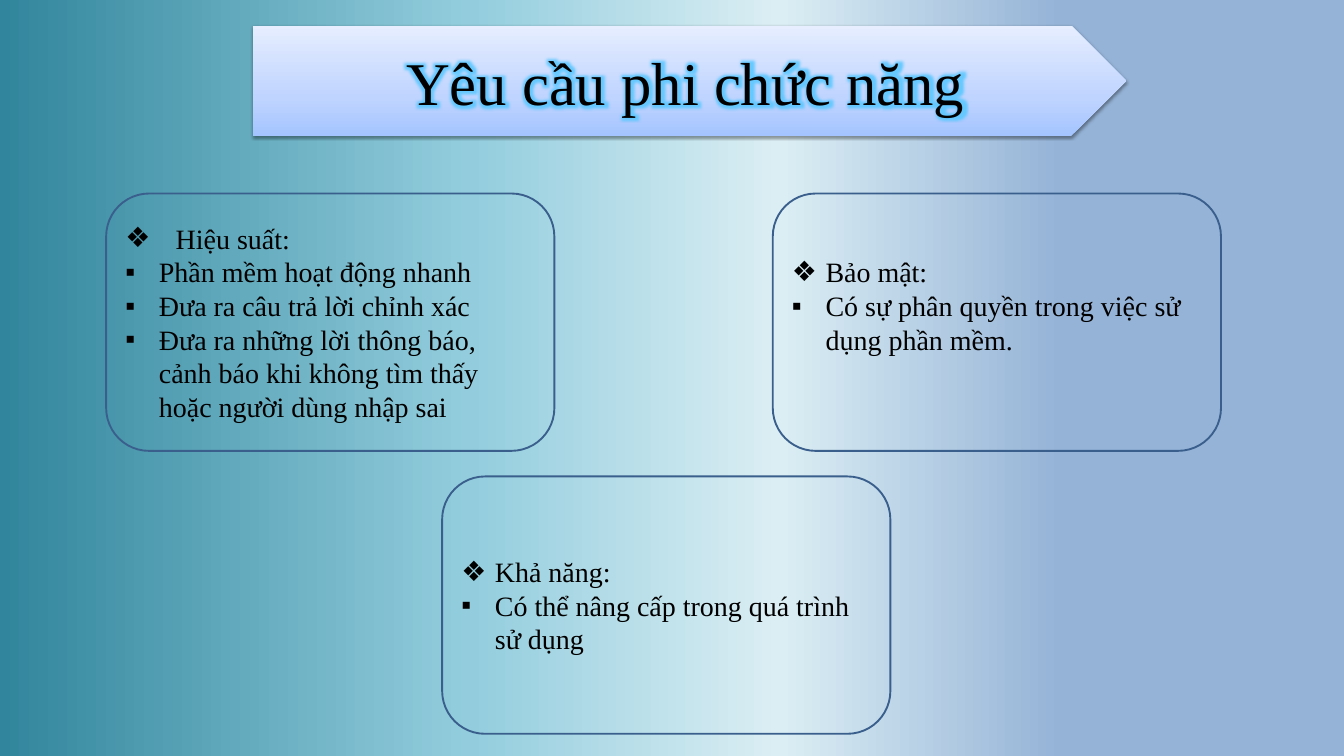
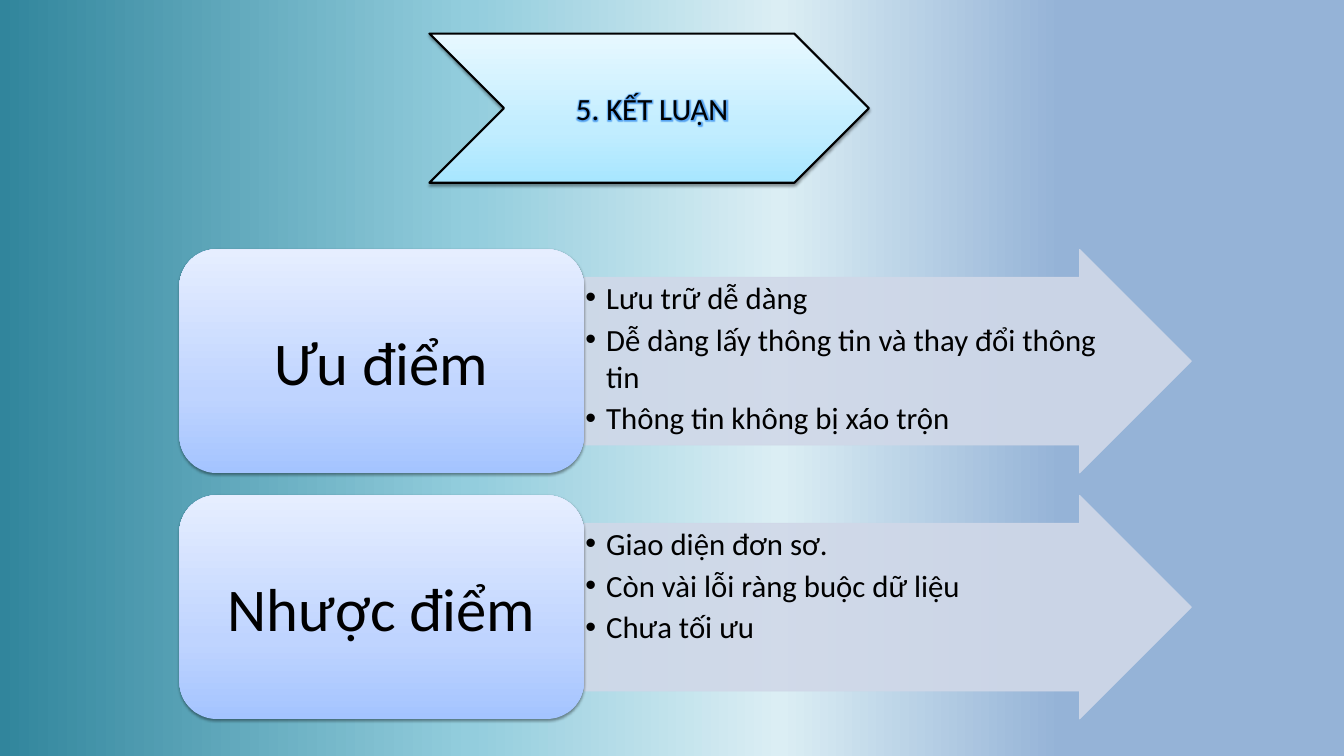
from lxml import etree
from pptx import Presentation
from pptx.dml.color import RGBColor
from pptx.enum import shapes, text
from pptx.oxml.ns import qn
from pptx.util import Inches, Pt

COLORS = {
    "ink": "000000",
    "card line": "3A5F8C",
    "arrow": "D0D8E8",
    "title glow": "5CC8FF",
    "conclusion glow": "4A9BF0",
}
BACKDROP = [(0, "31859C"), (35, "93CDDD"), (58, "DBEEF4"), (79, "95B3D7"), (100, "95B3D7")]
BLUE_SHEEN = [(0, "A4C4FF"), (35, "BFD4FF"), (100, "E6EEFF")]
CYAN_SHEEN = [(0, "A7E6FF"), (35, "C1EDFF"), (100, "E7F8FF")]
SERIF, SANS = "Times New Roman", "Calibri"
KIND = shapes.MSO_SHAPE


def paint_gradient(owner, fill, stops, angle):
    """Fill with any number of stops; owner is the object that holds the fill."""
    fill.gradient()
    fill.gradient_angle = angle
    stop_list = owner.element.find(".//" + qn("a:gsLst"))
    for old in list(stop_list):
        stop_list.remove(old)
    for position, color in stops:
        stop = etree.SubElement(stop_list, qn("a:gs"), pos=str(position * 1000))
        etree.SubElement(stop, qn("a:srgbClr"), val=color)


def write(box, lines, font, size, insets=(0.1, 0.05, 0.1, 0.05),
          anchor=text.MSO_ANCHOR.MIDDLE, gap=0):
    """Write (words, bullet, indent) lines; a line without bullet is centred."""
    frame = box.text_frame
    frame.word_wrap = True
    frame.vertical_anchor = anchor
    (frame.margin_left, frame.margin_top,
     frame.margin_right, frame.margin_bottom) = map(Inches, insets)
    for number, (words, bullet, indent) in enumerate(lines):
        para = frame.add_paragraph() if number else frame.paragraphs[0]
        para.alignment = text.PP_ALIGN.LEFT if bullet else text.PP_ALIGN.CENTER
        para.space_after = Pt(gap)
        if bullet:
            props = para._p.get_or_add_pPr()
            props.set("marL", str(Inches(indent)))
            props.set("indent", str(-Inches(indent)))
            etree.SubElement(props, qn("a:buFont"), typeface="Arial")
            etree.SubElement(props, qn("a:buChar"), char=bullet)
        span = para.add_run()
        span.text = words
        span.font.size = Pt(size)
        span.font.color.rgb = RGBColor.from_string(COLORS["ink"])
        span.font.name = font
    return span


deck = Presentation()
deck.slide_width, deck.slide_height = Inches(20), Inches(11.25)
paint_gradient(deck.slide_master, deck.slide_master.background.fill, BACKDROP, 0)
blank = deck.slide_layouts[6]
raised = []
glowing = []

# Slide 1: non-functional requirements
page = deck.slides.add_slide(blank)
banner = page.shapes.add_shape(KIND.PENTAGON, *map(Inches, (3.76, 0.38, 13, 1.65)))
paint_gradient(banner, banner.fill, BLUE_SHEEN, 270 - 180)
banner.line.fill.background()
raised.append(banner)
box = page.shapes.add_textbox(*map(Inches, (3.76, 0.38, 12.59, 1.65)))
title = write(box, [("Yêu cầu phi chức năng", None, 0)], SERIF, 65, (0.38, 0.19, 0.09, 0.19))
glowing.append((title, COLORS["title glow"], 9))

# left, top, heading indent, bottom inset, heading, points
requirements = [
    (1.58, 2.88, 0.75, 0.05, "Hiệu suất:",
     ["Phần mềm hoạt động nhanh", "Đưa ra câu trả lời chỉnh xác",
      "Đưa ra những lời thông báo, cảnh báo khi không tìm thấy hoặc người dùng nhập sai"]),
    (6.58, 7.09, 0.5, 0.05, "Khả năng:", ["Có thể nâng cấp trong quá trình sử dụng"]),
    (11.5, 2.88, 0.5, 0.55, "Bảo mật:", ["Có sự phân quyền trong việc sử dụng phần mềm."]),
]
for left, top, indent, bottom, heading, points in requirements:
    card = page.shapes.add_shape(KIND.ROUNDED_RECTANGLE, *map(Inches, (left, top, 6.67, 3.83)))
    card.shadow.inherit = False
    card.fill.background()
    card.line.color.rgb = RGBColor.from_string(COLORS["card line"])
    card.line.width = Pt(2)
    lines = [(heading, "❖", indent)] + [(point, "▪", 0.5) for point in points]
    write(card, lines, SERIF, 30, (0.1, 0.05, 0.1, bottom))

# Slide 2: conclusion
page = deck.slides.add_slide(blank)
verdicts = [
    ("Ưu điểm", ["Lưu trữ dễ dàng", "Dễ dàng lấy thông tin và thay đổi thông tin",
                 "Thông tin không bị xáo trộn"]),
    ("Nhược điểm", ["Giao diện đơn sơ.", "Còn vài lỗi ràng buộc dữ liệu", "Chưa tối ưu"]),
]
for row, (name, points) in enumerate(verdicts):
    top = 3.71 + row * 3.66
    arrow = page.shapes.add_shape(KIND.RIGHT_ARROW, *map(Inches, (8.69, top, 9.04, 3.33)))
    arrow.adjustments[0], arrow.adjustments[1] = 0.75, 0.5
    arrow.shadow.inherit = False
    arrow.line.width = Pt(0.75)
    for fill in (arrow.fill, arrow.line.fill):
        fill.solid()
        fill.fore_color.rgb = RGBColor.from_string(COLORS["arrow"])
    for color in arrow.element.spPr.iter(qn("a:srgbClr")):
        etree.SubElement(color, qn("a:alpha"), val="90000")
    box = page.shapes.add_textbox(*map(Inches, (8.69, top + 0.42, 7.79, 2.5)))
    write(box, [(point, "•", 0.31) for point in points], SANS, 33,
          (0.02, 0.02, 0.02, 0.02), text.MSO_ANCHOR.TOP, gap=5)

    label = page.shapes.add_shape(KIND.ROUNDED_RECTANGLE, *map(Inches, (2.67, top, 6.02, 3.33)))
    paint_gradient(label, label.fill, BLUE_SHEEN, 90)
    label.line.fill.background()
    raised.append(label)
    box = page.shapes.add_textbox(*map(Inches, (2.83, top + 0.16, 5.7, 3.01)))
    write(box, [(name, None, 0)], SANS, 65, (0.27, 0.14, 0.27, 0.14))

chevron = page.shapes.add_shape(KIND.CHEVRON, *map(Inches, (6.39, 0.5, 6.54, 2.22)))
paint_gradient(chevron, chevron.fill, CYAN_SHEEN, 90)
chevron.line.color.rgb = RGBColor.from_string(COLORS["ink"])
chevron.line.width = Pt(2.25)
raised.append(chevron)
box = page.shapes.add_textbox(*map(Inches, (7.5, 0.5, 4.32, 2.22)))
title = write(box, [("5. KẾT LUẬN", None, 0)], SANS, 33, (0.14, 0.05, 0.05, 0.05))
glowing.append((title, COLORS["conclusion glow"], 6))

# Effects shared by both slides
for shape in raised:
    shape.shadow.inherit = False
    effects = shape.element.spPr.find(qn("a:effectLst"))
    shadow = etree.SubElement(effects, qn("a:outerShdw"), blurRad=str(Pt(3.1)),
                              dist=str(Pt(1.6)), dir="5400000", rotWithShape="0")
    color = etree.SubElement(shadow, qn("a:srgbClr"), val=COLORS["ink"])
    etree.SubElement(color, qn("a:alpha"), val="38000")

for span, hue, radius in glowing:
    effects = etree.Element(qn("a:effectLst"))
    glow = etree.SubElement(effects, qn("a:glow"), rad=str(Pt(radius)))
    color = etree.SubElement(glow, qn("a:srgbClr"), val=hue)
    etree.SubElement(color, qn("a:alpha"), val="90000")
    span._r.rPr.find(qn("a:solidFill")).addnext(effects)

deck.save("out.pptx")
